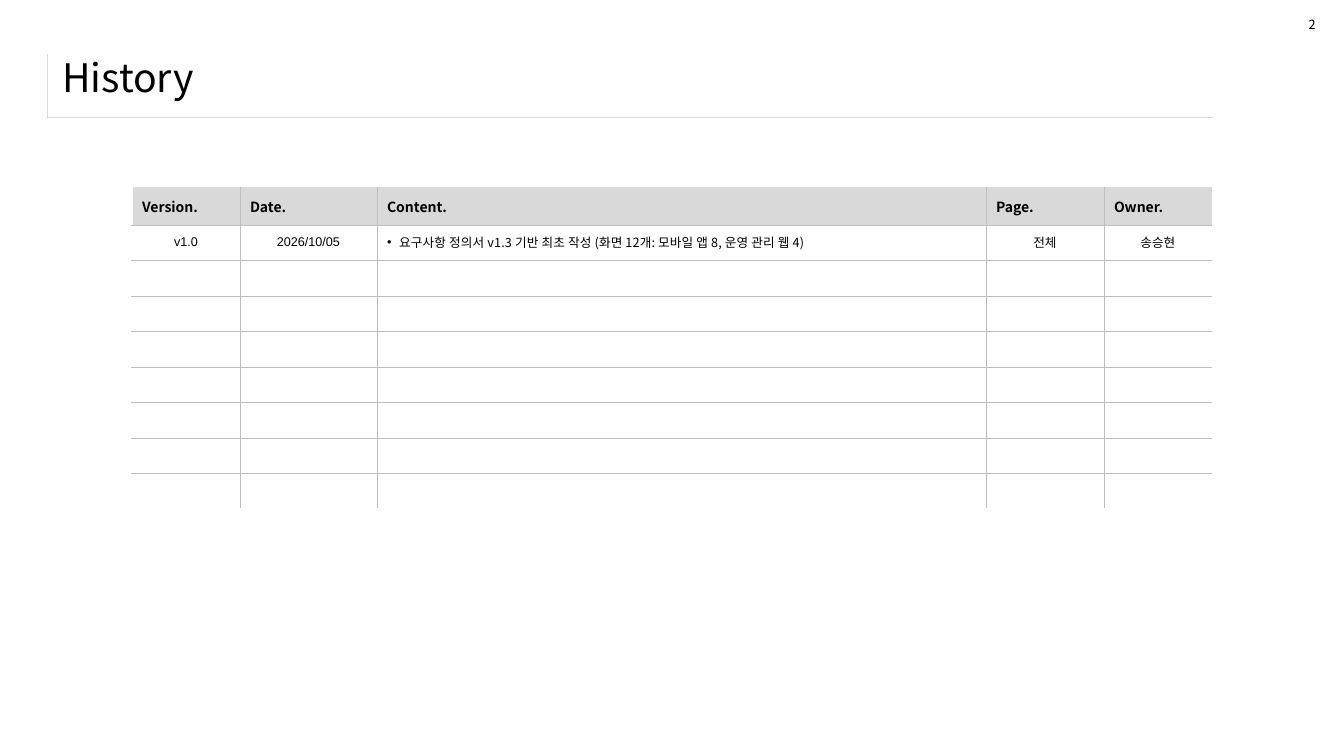
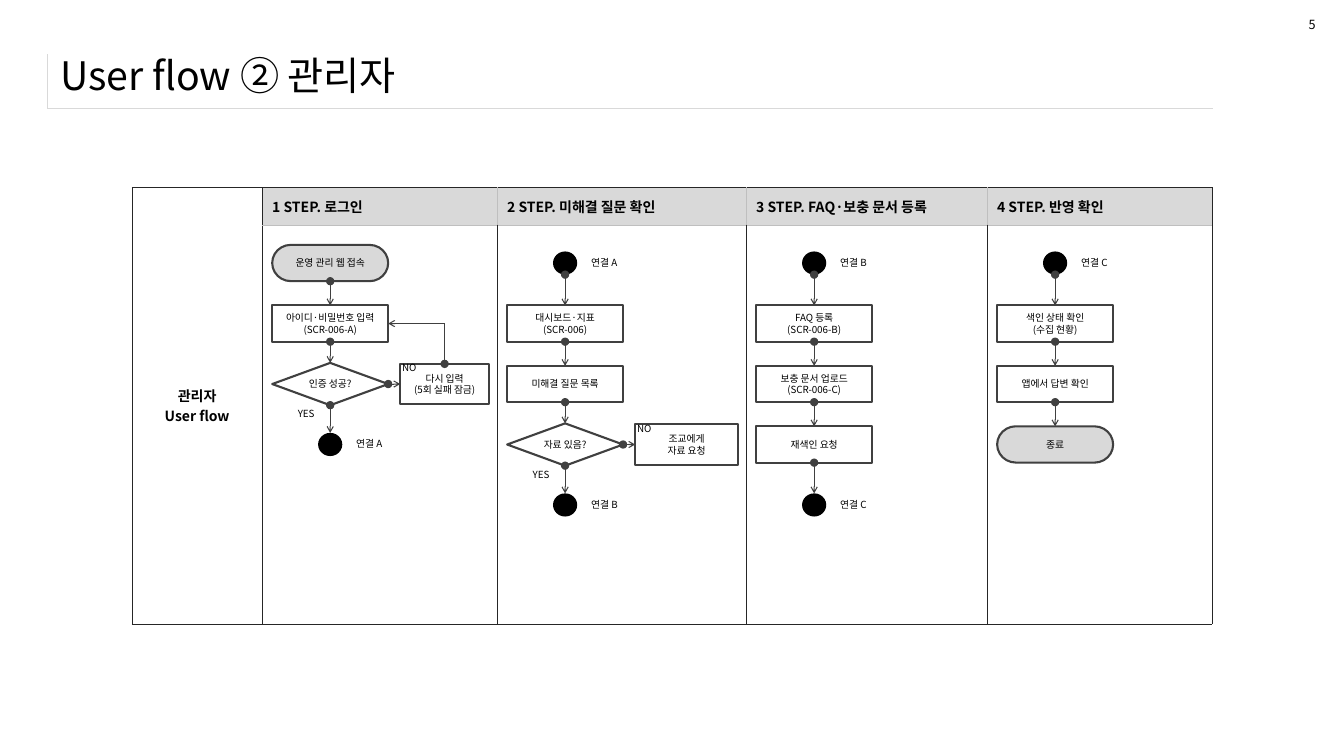
from lxml import etree
from pptx import Presentation
from pptx.dml.color import RGBColor
from pptx.enum.shapes import MSO_CONNECTOR, MSO_SHAPE
from pptx.enum.text import MSO_ANCHOR, PP_ALIGN
from pptx.oxml.ns import qn
from pptx.util import Inches, Pt

STRAIGHT = MSO_CONNECTOR.STRAIGHT
LEFT, CENTER = PP_ALIGN.LEFT, PP_ALIGN.CENTER
TOP, MIDDLE = MSO_ANCHOR.TOP, MSO_ANCHOR.MIDDLE

BLACK = RGBColor(0, 0, 0)
WHITE = RGBColor(0xFF, 0xFF, 0xFF)
INK = RGBColor(0x26, 0x26, 0x26)
OUTLINE = RGBColor(0x40, 0x40, 0x40)
GRID = RGBColor(0xBF, 0xBF, 0xBF)
PALE = RGBColor(0xD9, 0xD9, 0xD9)

FONT, LATIN_FONT = "Noto Sans CJK KR", "Arial"
PLAIN_TABLE_STYLE = "{2D5ABB26-0587-4C30-8999-92F81FD0307C}"
TABLE_LEFT, TABLE_TOP, HEADER_HEIGHT = 1.31, 1.86, 0.37
TITLE_RULE_LEFT, TITLE_RULE_TOP, TITLE_RULE_WIDTH = 0.47, 0.54, 11.56

# History table
HISTORY_HEADERS = ["Version.", "Date.", "Content.", "Page.", "Owner."]
HISTORY_WIDTHS = [1.07, 1.36, 6.04, 1.17, 1.07]
HISTORY_ENTRY = [
    ("v1.0", LATIN_FONT),
    ("2026/10/05", LATIN_FONT),
    ("요구사항 정의서 v1.3 기반 최초 작성 (화면 12개: 모바일 앱 8, 운영 관리 웹 4)", FONT),
    ("전체", LATIN_FONT),
    ("송승현", FONT),
]
CONTENT_COLUMN = 2
HISTORY_ROWS, HISTORY_HEIGHT = 8, 3.19

# User flow: each step lists its nodes as (row, kind, lines)
FLOW_ROLE = ["관리자", "User flow"]
FLOW_WIDTHS = [1.29, 2.33, 2.47, 2.39, 2.23]
FLOW_BODY_HEIGHT = 3.96
FLOW_STEPS = [
    {"header": "1 STEP. 로그인",
     "nodes": [(0, "terminal", ["운영 관리 웹 접속"]),
               (1, "process", ["아이디·비밀번호 입력", "(SCR-006-A)"]),
               (2, "decision", ["인증 성공?"]),
               (3, "link", ["연결 A"])],
     "no": ["다시 입력", "(5회 실패 잠금)"], "retry_row": 1},
    {"header": "2 STEP. 미해결 질문 확인",
     "nodes": [(0, "link", ["연결 A"]),
               (1, "process", ["대시보드·지표", "(SCR-006)"]),
               (2, "process", ["미해결 질문 목록"]),
               (3, "decision", ["자료 있음?"]),
               (4, "link", ["연결 B"])],
     "no": ["조교에게", "자료 요청"]},
    {"header": "3 STEP. FAQ·보충 문서 등록",
     "nodes": [(0, "link", ["연결 B"]),
               (1, "process", ["FAQ 등록", "(SCR-006-B)"]),
               (2, "process", ["보충 문서 업로드", "(SCR-006-C)"]),
               (3, "process", ["재색인 요청"]),
               (4, "link", ["연결 C"])]},
    {"header": "4 STEP. 반영 확인",
     "nodes": [(0, "link", ["연결 C"]),
               (1, "process", ["색인 상태 확인", "(수집 현황)"]),
               (2, "process", ["앱에서 답변 확인"]),
               (3, "terminal", ["종료"])]},
]
# kind: preset, width, height, fill
NODE_STYLES = {
    "terminal": (MSO_SHAPE.FLOWCHART_TERMINATOR, 1.15, 0.36, PALE),
    "process": (MSO_SHAPE.FLOWCHART_PROCESS, 1.15, 0.36, WHITE),
    "decision": (MSO_SHAPE.FLOWCHART_DECISION, 1.15, 0.42, WHITE),
    "link": (MSO_SHAPE.FLOWCHART_CONNECTOR, 0.24, 0.23, BLACK),
}
FIRST_ROW_Y, ROW_PITCH = 2.61, 0.6
NODE_INDENT, NODE_WIDTH = 0.1, 1.15
NO_GAP, NO_MARGIN, NO_HEIGHT = 0.12, 0.08, 0.4
NODE_TEXT_SIZE = 7


def write(frame, lines, size, align=LEFT, font=FONT, bold=False, tracking=0):
    for index, line in enumerate(lines):
        para = frame.paragraphs[0] if index == 0 else frame.add_paragraph()
        para.alignment = align
        span = para.add_run()
        span.text = line
        span.font.size = Pt(size)
        span.font.name = font
        span.font.bold = bold
        span.font.color.rgb = BLACK
        properties = span.font._element
        etree.SubElement(properties, qn("a:ea")).set("typeface", FONT)
        if tracking:
            properties.set("spc", str(round(tracking * 100)))


def add_text(slide, left, top, width, height, text, size, anchor=TOP):
    box = slide.shapes.add_textbox(*map(Inches, (left, top, width, height)))
    box.text_frame.word_wrap = True
    box.text_frame.vertical_anchor = anchor
    write(box.text_frame, [text], size)


def add_line(slide, start, end, head=None, tail=None):
    line = slide.shapes.add_connector(STRAIGHT, *map(Inches, start + end))
    line.line.color.rgb = OUTLINE
    line.line.width = Pt(0.75)
    properties = line.element.spPr
    outline = properties.find(qn("a:ln"))
    for tag, kind, size in (("a:headEnd", head, "med"), ("a:tailEnd", tail, "sm")):
        if kind:
            etree.SubElement(outline, qn(tag), type=kind, w=size, len=size)
    etree.SubElement(properties, qn("a:effectLst"))


def add_grid(slide, left, top, widths, heights):
    frame = slide.shapes.add_table(
        len(heights), len(widths), Inches(left), Inches(top),
        Inches(sum(widths)), Inches(sum(heights)))
    table = frame.table
    table.first_row = table.horz_banding = False
    table._tbl.tblPr.find(qn("a:tableStyleId")).text = PLAIN_TABLE_STYLE
    for column, width in zip(table.columns, widths):
        column.width = Inches(width)
    for row, height in zip(table.rows, heights):
        row.height = Inches(height)
    return table


def style_cell(cell, fill=None, **borders):
    """Borders are given as L, R, T, B = (colour, points) or None."""
    properties = cell._tc.get_or_add_tcPr()
    for side in "LRTB":
        if borders.get(side):
            color, width = borders[side]
            edge = etree.SubElement(properties, qn("a:ln" + side), w=str(Pt(width)))
            paint = etree.SubElement(edge, qn("a:solidFill"))
            etree.SubElement(paint, qn("a:srgbClr"), val=str(color))
    if fill is None:
        cell.fill.background()
    else:
        cell.fill.solid()
        cell.fill.fore_color.rgb = fill
    cell.vertical_anchor = MIDDLE


def set_bullet(para, indent):
    properties = para._p.get_or_add_pPr()
    properties.set("marL", str(Inches(indent)))
    properties.set("indent", str(-Inches(indent)))
    etree.SubElement(properties, qn("a:buFont"), typeface=LATIN_FONT)
    etree.SubElement(properties, qn("a:buChar"), char="•")


def set_empty_size(cell, size):
    para = cell.text_frame.paragraphs[0]
    etree.SubElement(para._p, qn("a:endParaRPr"), sz=str(size * 100))


def add_page(deck, title, title_area, rule_height, number):
    slide = deck.slides.add_slide(deck.slide_layouts[6])
    rule = add_grid(slide, TITLE_RULE_LEFT, TITLE_RULE_TOP,
                    [TITLE_RULE_WIDTH], [rule_height])
    style_cell(rule.cell(0, 0), L=(PALE, 0.25), B=(PALE, 0.25))
    set_empty_size(rule.cell(0, 0), 9)
    add_text(slide, *title_area, title, 28, MIDDLE)
    add_text(slide, 12.88, 0.12, 0.27, 0.25, number, 9)
    return slide


def build_history(deck):
    slide = add_page(deck, "History", (0.52, 0.45, 12.49, 0.63), 0.62, "2")
    row_height = (HISTORY_HEIGHT - HEADER_HEIGHT) / HISTORY_ROWS
    table = add_grid(slide, TABLE_LEFT, TABLE_TOP, HISTORY_WIDTHS,
                     [HEADER_HEIGHT] + [row_height] * HISTORY_ROWS)
    thin, blank = (GRID, 0.25), (WHITE, 1)
    last = len(HISTORY_WIDTHS) - 1
    for row in range(HISTORY_ROWS + 1):
        for column in range(last + 1):
            cell = table.cell(row, column)
            style_cell(cell, PALE if row == 0 else None,
                       L=thin if column else blank,
                       R=thin if column < last else None,
                       T=thin if row else None,
                       B=thin if row < HISTORY_ROWS else blank)
            if row == 0:
                write(cell.text_frame, [HISTORY_HEADERS[column]], 10, bold=True)
            elif row > 1:
                set_empty_size(cell, 9)
            else:
                text, font = HISTORY_ENTRY[column]
                if column == CONTENT_COLUMN:
                    set_bullet(cell.text_frame.paragraphs[0], 0.12)
                    write(cell.text_frame, [text], 9, LEFT, font, tracking=0.1)
                else:
                    write(cell.text_frame, [text], 9, CENTER, font)


def add_node(slide, preset, left, top, width, height, fill, lines):
    node = slide.shapes.add_shape(preset, *map(Inches, (left, top, width, height)))
    node.shadow.inherit = False
    node.fill.solid()
    node.fill.fore_color.rgb = fill
    if not lines:
        node.line.fill.background()
        return
    node.line.color.rgb = OUTLINE
    node.line.width = Pt(1.5)
    frame = node.text_frame
    frame.word_wrap = True
    frame.vertical_anchor = MIDDLE
    frame.margin_left = frame.margin_right = Inches(0.03)
    frame.margin_top = frame.margin_bottom = Inches(0.05)
    write(frame, lines, NODE_TEXT_SIZE, CENTER)


def add_label(slide, left, top, text):
    add_text(slide, left, top, 0.6, 0.2, text, NODE_TEXT_SIZE)


def row_y(row):
    return FIRST_ROW_Y + row * ROW_PITCH


def add_no_branch(slide, step, y, node_right, column_right):
    left = node_right + NO_GAP
    width = column_right - NO_MARGIN - left
    top = y - NO_HEIGHT / 2
    add_node(slide, MSO_SHAPE.FLOWCHART_PROCESS, left, top, width, NO_HEIGHT,
             WHITE, step["no"])
    add_line(slide, (node_right, y), (left, y), head="oval", tail="arrow")
    add_label(slide, left - 0.08, y - 0.27, "NO")
    if "retry_row" in step:
        middle, target_y = left + width / 2, row_y(step["retry_row"])
        add_line(slide, (middle, top), (middle, target_y), head="oval")
        add_line(slide, (middle, target_y), (node_right, target_y), tail="arrow")


def add_step(slide, step, column_left, column_right):
    node_left = column_left + NODE_INDENT
    center = node_left + NODE_WIDTH / 2
    edges = []
    for row, kind, lines in step["nodes"]:
        preset, width, height, fill = NODE_STYLES[kind]
        y = row_y(row)
        top, bottom = y - height / 2, y + height / 2
        is_link = kind == "link"
        add_node(slide, preset, center - width / 2, top, width, height, fill,
                 [] if is_link else lines)
        if is_link:
            add_label(slide, center + 0.16, top, lines[0])
        elif kind == "decision":
            add_label(slide, center - 0.42, bottom - 0.02, "YES")
            add_no_branch(slide, step, y, node_left + NODE_WIDTH, column_right)
        edges.append((top, bottom))
    for (_, bottom), (next_top, _) in zip(edges, edges[1:]):
        add_line(slide, (center, bottom), (center, next_top), head="oval", tail="arrow")


def build_user_flow(deck):
    slide = add_page(deck, "User flow ② 관리자", (0.5, 0.41, 12.49, 0.67), 0.53, "5")
    table = add_grid(slide, TABLE_LEFT, TABLE_TOP, FLOW_WIDTHS,
                     [HEADER_HEIGHT, FLOW_BODY_HEIGHT])
    dark, thin = (INK, 0.25), (GRID, 0.25)
    role = table.cell(0, 0)
    role.merge(table.cell(1, 0))
    for row in range(2):
        style_cell(table.cell(row, 0), L=dark, R=dark, T=dark, B=dark)
    write(role.text_frame, FLOW_ROLE, 10, CENTER, bold=True)

    left = TABLE_LEFT + FLOW_WIDTHS[0]
    for column, step in enumerate(FLOW_STEPS, 1):
        header, body = table.cell(0, column), table.cell(1, column)
        style_cell(header, PALE, L=dark if column == 1 else thin,
                   R=dark if column == len(FLOW_STEPS) else thin, T=dark, B=thin)
        style_cell(body, L=dark, R=dark, T=thin, B=dark)
        write(header.text_frame, [step["header"]], 10, bold=True)
        right = left + FLOW_WIDTHS[column]
        add_step(slide, step, left, right)
        left = right


def main():
    deck = Presentation()
    deck.slide_width, deck.slide_height = Inches(13.33), Inches(7.5)
    build_history(deck)
    build_user_flow(deck)
    deck.save("out.pptx")


if __name__ == "__main__":
    main()
